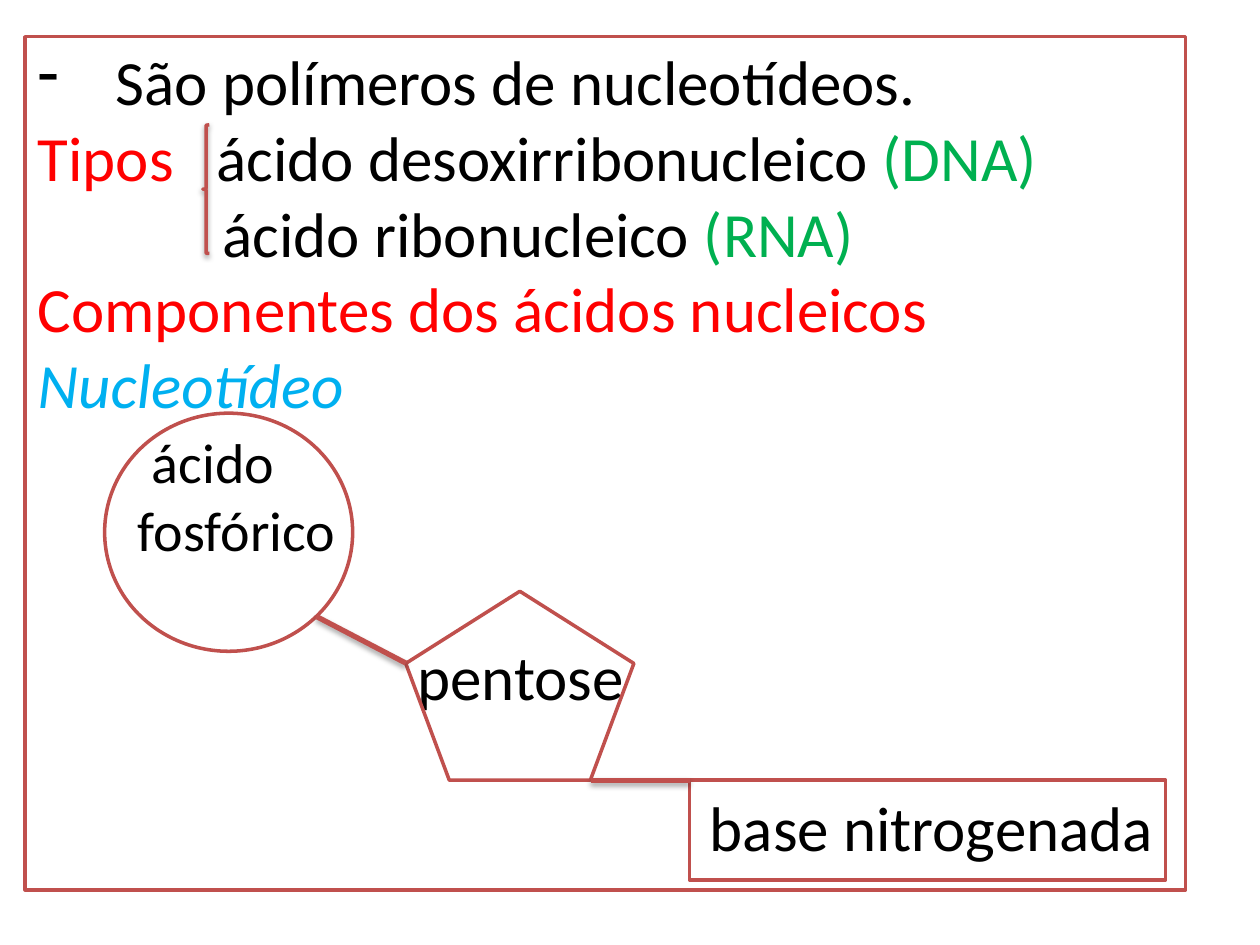
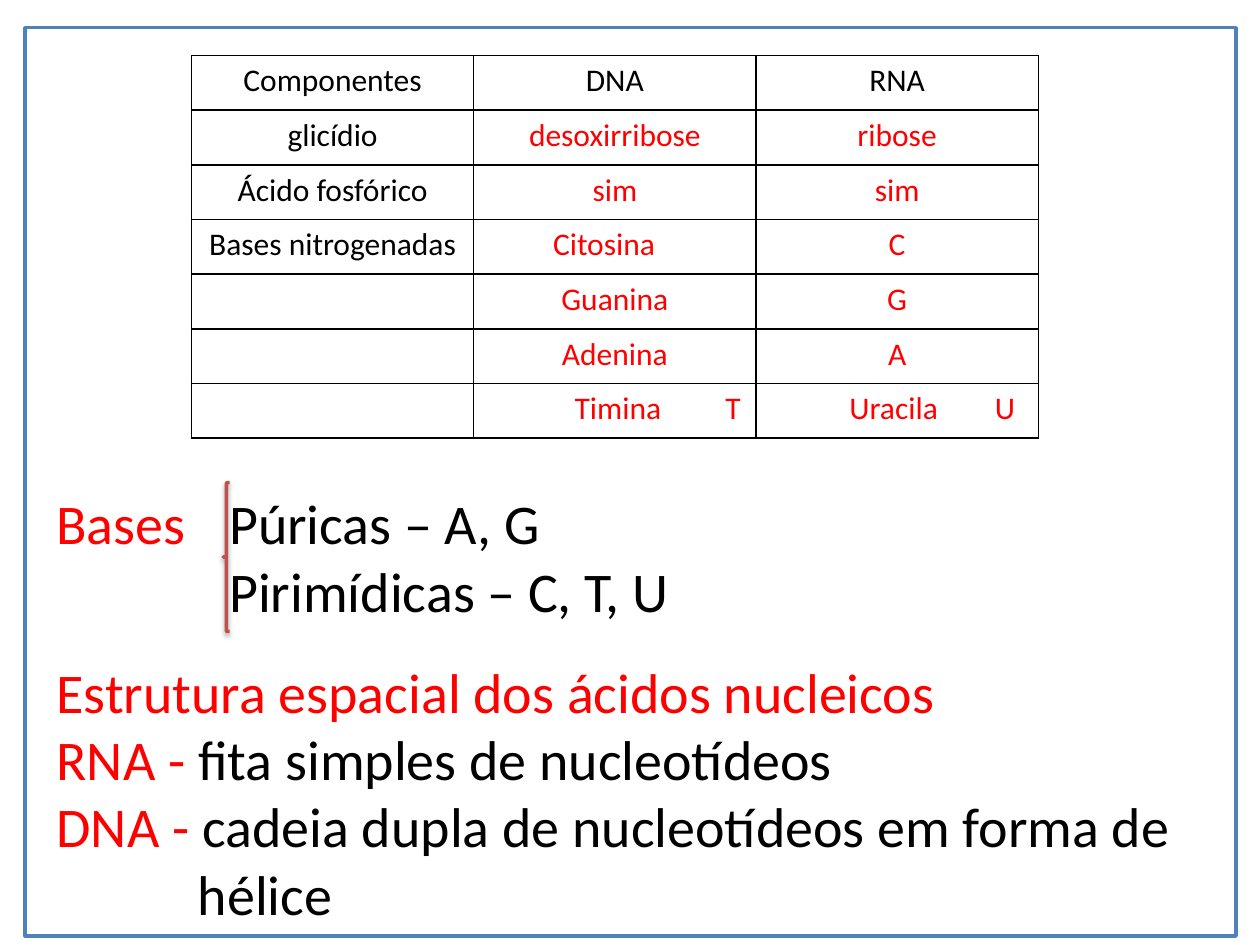
from collections import namedtuple
from math import sqrt
from lxml.etree import SubElement
from pptx import Presentation
from pptx.dml.color import RGBColor
from pptx.enum.shapes import MSO_CONNECTOR, MSO_SHAPE
from pptx.enum.text import MSO_ANCHOR, PP_ALIGN
from pptx.oxml.ns import qn
from pptx.util import Cm, Pt

Box = namedtuple("Box", "left top width height")
FONT = "Calibri"
BLACK, WHITE, RED = "000000", "FFFFFF", "FF0000"
GREEN, CYAN, BLUE, BRICK = "00B050", "00B0F0", "4F81BD", "C0504D"


def shade(text):
    return RGBColor.from_string(text)


def inside(box, left, top, width, height):
    return Box(box.left + left, box.top + top, width, height)


def shadow(item, blur, gap, alpha):
    group = SubElement(item.element.spPr, qn("a:effectLst"))
    outer = SubElement(group, qn("a:outerShdw"), blurRad=str(Pt(blur)),
                       dist=str(Pt(gap)), dir="5400000", rotWithShape="0")
    tint = SubElement(outer, qn("a:srgbClr"), val=BLACK)
    SubElement(tint, qn("a:alpha"), val=str(alpha * 1000))


def outline(slide, kind, box, color, fill=None):
    item = slide.shapes.add_shape(kind, *map(Cm, box))
    if fill:
        item.fill.solid()
        item.fill.fore_color.rgb = shade(fill)
    else:
        item.fill.background()
    item.line.color.rgb = shade(color)
    item.line.width = Pt(2)
    item.shadow.inherit = False
    return item


def brace(slide, box):
    item = outline(slide, MSO_SHAPE.LEFT_BRACE, box, BRICK)
    item.shadow.inherit = True
    shadow(item, 3.1, 1.6, 38)


def link(slide, start, end):
    ends = map(Cm, (*start, *end))
    line = slide.shapes.add_connector(MSO_CONNECTOR.STRAIGHT, *ends)
    line.line.color.rgb = shade(BRICK)
    line.line.width = Pt(3)
    shadow(line, 3.1, 1.8, 35)


def layout(para, left=0, first=0, mark=None):
    props = para._p.get_or_add_pPr()
    props.set("marL", str(Cm(left)))
    props.set("indent", str(Cm(first)))
    if mark:
        SubElement(props, qn("a:buFontTx"))
        SubElement(props, qn("a:buChar"), char=mark)


def write(para, parts, size):
    para.alignment = PP_ALIGN.LEFT
    for text, color, *space in parts:
        run = para.add_run()
        run.text = text
        run.font.name = FONT
        run.font.size = Pt(size)
        run.font.color.rgb = shade(color)
        for points in space:
            run.font._element.set("spc", str(int(points * 100)))


def fill_text(frame, lines, size):
    frame.word_wrap = True
    frame.vertical_anchor = MSO_ANCHOR.TOP
    for row, (parts, place) in enumerate(lines):
        para = frame.add_paragraph() if row else frame.paragraphs[0]
        rest = dict(place)
        para.space_before = Pt(rest.pop("gap", 0))
        write(para, parts, rest.pop("size", size))
        layout(para, **rest)


def text_box(slide, box, lines):
    item = slide.shapes.add_textbox(*map(Cm, box))
    fill_text(item.text_frame, lines, 32)


def panel(slide, box):
    item = outline(slide, MSO_SHAPE.RECTANGLE, box, BRICK, WHITE)
    blank = 43
    fill_text(item.text_frame, [
        ([("São polímeros de nucleotídeos.", BLACK)],
         dict(left=1.57, first=-1.57, mark="-")),
        ([("Tipos", RED), (" ", RED, 16.3),
          ("ácido desoxirribonucleico ", BLACK), ("(DNA)", GREEN)], {}),
        ([("ácido ribonucleico ", BLACK), ("(RNA)", GREEN)], dict(left=3.73)),
        ([("Componentes dos ácidos nucleicos", RED)], {}),
        ([("Nucleotídeo", CYAN)], {}),
        ([("ácido", BLACK)], dict(left=2.3, gap=4, size=32)),
        ([("fosfórico", BLACK)], dict(left=2.02, size=32)),
        ([("pentose", BLACK)], dict(left=7.65, gap=blank)),
        ([("base nitrogenada", BLACK)], dict(left=13.55, gap=blank)),
    ], 36)
    item.text_frame.paragraphs[4].runs[0].font.italic = True
    brace(slide, inside(box, 3.58, 1.78, 0.13, 2.59))


def unit(slide, box):
    acid = inside(box, 1.6, 7.59, 5, 4.8)
    base = inside(box, 13.39, 14.99, 9.6, 2.01)
    sugar = inside(box, 7.67, 11.18, 4.6, 3.81)
    outline(slide, MSO_SHAPE.OVAL, acid, BRICK)
    outline(slide, MSO_SHAPE.RECTANGLE, base, BRICK)
    outline(slide, MSO_SHAPE.REGULAR_PENTAGON, sugar, BRICK)
    part = (1 + sqrt(0.5)) / 2
    link(slide,
         (acid.left + acid.width * part, acid.top + acid.height * part),
         (sugar.left, sugar.top + sugar.height * 0.38))
    link(slide,
         (sugar.left + sugar.width * 0.81, sugar.top + sugar.height),
         (base.left, base.top))


def border(cell):
    props = cell._tc.get_or_add_tcPr()
    for spot, side in enumerate(("a:lnL", "a:lnR", "a:lnT", "a:lnB")):
        line = SubElement(props, qn(side), w=str(Pt(1)))
        fill = SubElement(line, qn("a:solidFill"))
        SubElement(fill, qn("a:srgbClr"), val=BLACK)
        props.insert(spot, line)


def grid(slide, box):
    rows = [
        ("Componentes", "DNA", "RNA"),
        ("glicídio", "desoxirribose", "ribose"),
        ("Ácido fosfórico", "sim", "sim"),
        ("Bases nitrogenadas", "Citosina", "C"),
        ("", "Guanina", "G"),
        ("", "Adenina", "A"),
        ("", "", ""),
    ]
    table = slide.shapes.add_table(len(rows), 3, *map(Cm, box)).table
    table.first_row = table.horz_banding = False
    for down, row in enumerate(rows):
        for over, text in enumerate(row):
            cell = table.cell(down, over)
            cell.fill.background()
            border(cell)
            para = cell.text_frame.paragraphs[0]
            color = RED if down and over else BLACK
            if text:
                write(para, [(text, color)], 18)
            para.alignment = PP_ALIGN.CENTER
    table.cell(3, 1).margin_right = Cm(0.69)
    last = (("Timina", "T", 1.78, 32.5), ("Uracila", "U", 1.63, 28.5))
    for over, (name, sign, left, space) in enumerate(last, 1):
        para = table.cell(6, over).text_frame.paragraphs[0]
        write(para, [(name, RED), (" ", RED, space), (sign, RED)], 18)
        layout(para, left=left)


def bases(slide, box):
    text_box(slide, inside(box, 0, 0, 22.8, 1.63), [([("Bases", RED)], {})])
    text_box(slide, inside(box, 3.2, 0, 9.8, 3), [
        ([("Púricas – A, G", BLACK)], dict(left=0.28)),
        ([("Pirimídicas – C, T, U", BLACK)], dict(left=0.28)),
    ])
    brace(slide, inside(box, 3.61, 0, 0.13, 3))


def strands(slide, box):
    text_box(slide, box, [
        ([("Estrutura espacial dos ácidos nucleicos", RED)], {}),
        ([("RNA - ", RED), ("fita simples de nucleotídeos", BLACK)], {}),
        ([("DNA - ", RED),
          ("cadeia dupla de nucleotídeos em forma de", BLACK)], {}),
        ([("hélice", BLACK)], dict(left=2.85)),
    ])


def acids(slide, box):
    panel(slide, box)
    unit(slide, box)


def compare(slide, box):
    outline(slide, MSO_SHAPE.RECTANGLE, box, BLUE, WHITE)
    grid(slide, inside(box, 3.35, 0.56, 17.07, 7.72))
    bases(slide, inside(box, 0.38, 9.17, 22.8, 3))
    strands(slide, inside(box, 0.38, 12.57, 23, 5.89))


deck = Presentation()
deck.slide_width, deck.slide_height = Cm(25.4), Cm(19.05)
for build, box in ((acids, Box(0.51, 0.74, 23.39, 17.2)),
                   (compare, Box(0.51, 0.56, 24.41, 18.31))):
    build(deck.slides.add_slide(deck.slide_layouts[6]), box)
deck.save("out.pptx")
